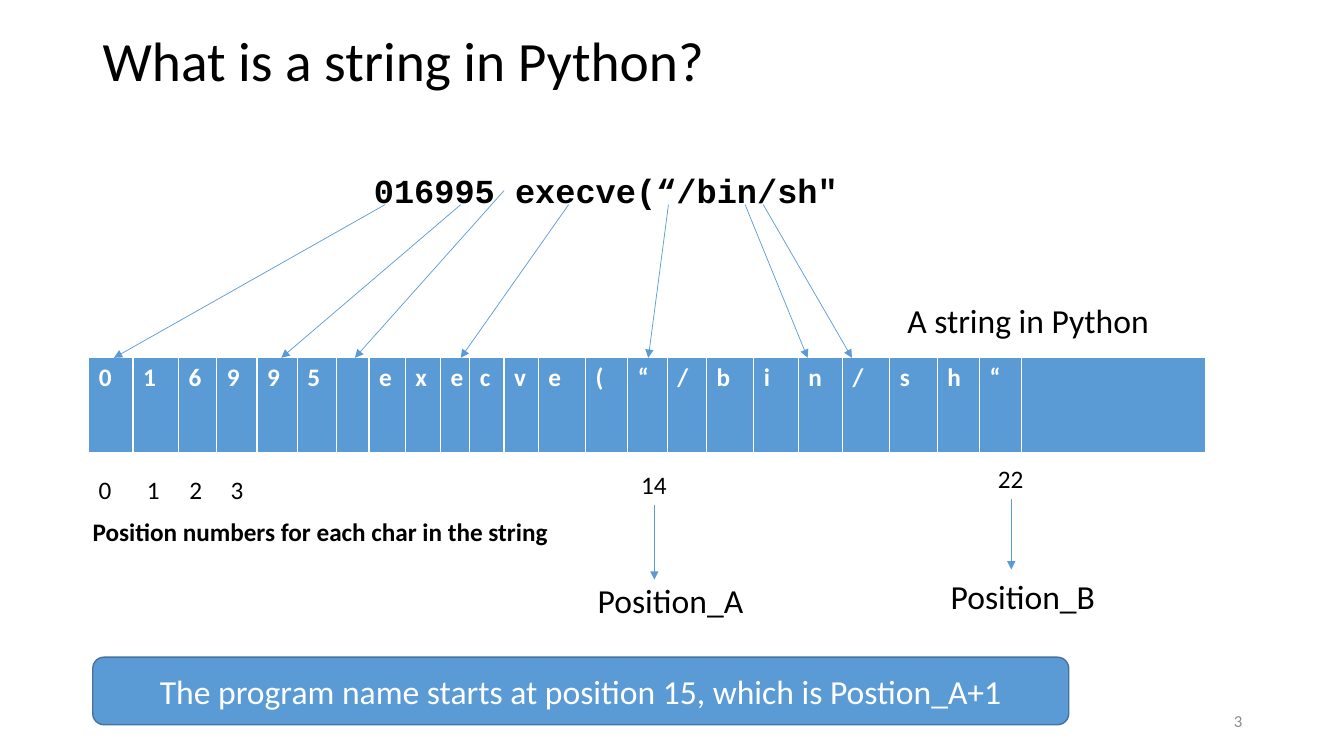
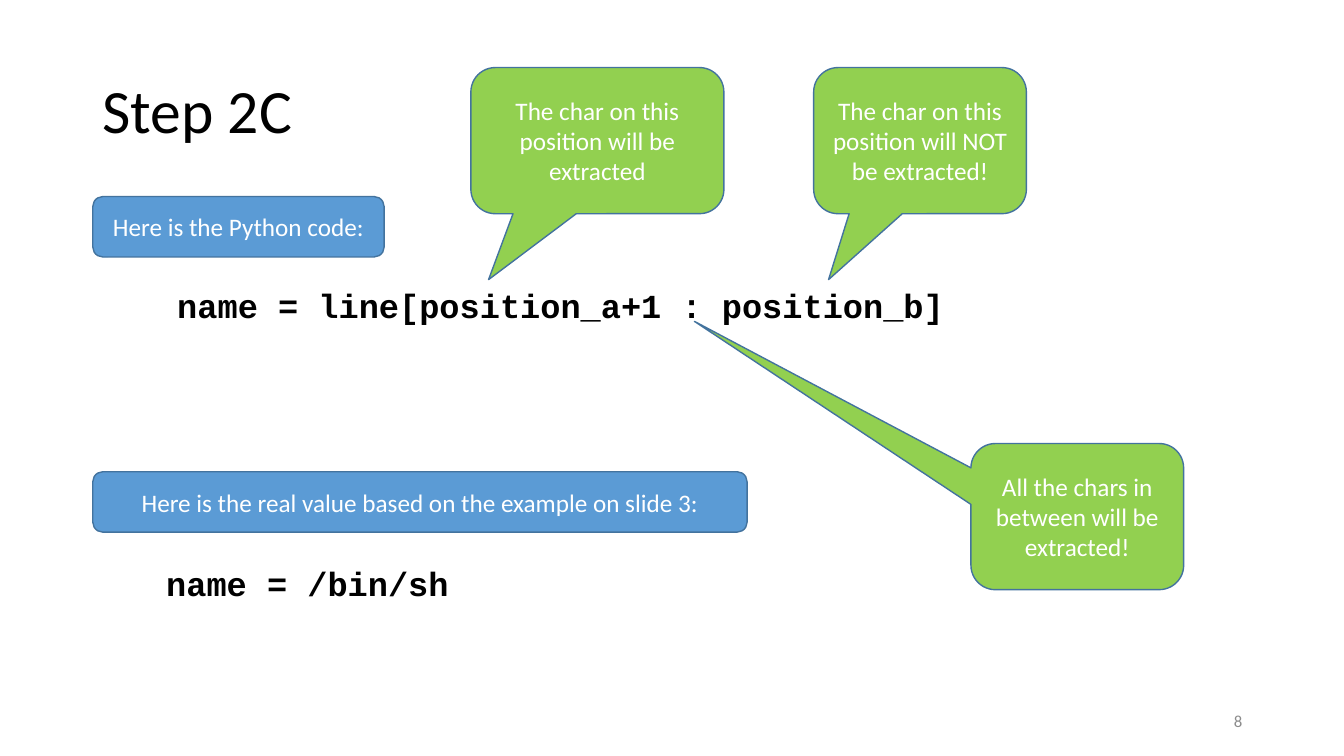
from lxml import etree
from pptx import Presentation
from pptx.dml.color import RGBColor
from pptx.enum.shapes import MSO_CONNECTOR, MSO_SHAPE
from pptx.enum.text import MSO_ANCHOR, MSO_AUTO_SIZE, PP_ALIGN
from pptx.oxml.ns import qn
from pptx.util import Inches, Pt

STRAIGHT = MSO_CONNECTOR.STRAIGHT
ROUNDED, CALLOUT = MSO_SHAPE.ROUNDED_RECTANGLE, MSO_SHAPE.ROUNDED_RECTANGULAR_CALLOUT
TOP, MIDDLE = MSO_ANCHOR.TOP, MSO_ANCHOR.MIDDLE
FIXED, GROW = MSO_AUTO_SIZE.NONE, MSO_AUTO_SIZE.SHAPE_TO_FIT_TEXT
LEFT, CENTER, RIGHT = PP_ALIGN.LEFT, PP_ALIGN.CENTER, PP_ALIGN.RIGHT
SANS, MONO = "Calibri", "Courier New"
BLACK, WHITE, GRAY = "000000", "FFFFFF", "8C8C8C"
BLUE, DARK_BLUE, GREEN = "5B9BD5", "43739E", "92D050"
color_of = RGBColor.from_string


def write(frame, text, size, color=BLACK, name=SANS, bold=False, align=LEFT):
    paragraph = frame.paragraphs[0]
    paragraph.alignment = align
    run = paragraph.add_run()
    run.text = text
    for attribute, value in {"size": Pt(size), "name": name, "bold": bold}.items():
        setattr(run.font, attribute, value)
    run.font.color.rgb = color_of(color)
    return paragraph


def add_text(slide, box, text, size, anchor=TOP, wrap=False, **style):
    frame = slide.shapes.add_textbox(*map(Inches, box)).text_frame
    layout = {
        "word_wrap": wrap,
        "vertical_anchor": anchor,
        "auto_size": FIXED if wrap else GROW,
    }
    for attribute, value in layout.items():
        setattr(frame, attribute, value)
    return write(frame, text, size, **style)


CODE = {"name": MONO, "bold": True}
POINTER_DOWN = (-0.43, 0.951, 0.167)
contents = [
    {
        "title": ("What is a string in Python?", 39.6, 0.47),
        "number": "3",
        "labels": [
            ((3.61, 1.64, 4.84, 0.5), "016995 execve(“/bin/sh\"", 24, CODE),
            ((8.9, 2.93, 2.62, 0.5), "A string in Python", 24, {}),
            ((0.88, 4.66, 0.33, 0.4), "0", 18, {}),
            ((1.36, 4.66, 0.33, 0.4), "1", 18, {}),
            ((1.78, 4.66, 0.33, 0.4), "2", 18, {}),
            ((2.19, 4.66, 0.33, 0.4), "3", 18, {}),
            ((6.26, 4.61, 0.46, 0.4), "14", 18, {}),
            ((9.8, 4.55, 0.46, 0.4), "22", 18, {}),
            ((0.82, 5.07, 4.76, 0.4), "Position numbers for each char in the string",
             18, {"bold": True}),
            ((5.83, 5.7, 1.66, 0.5), "Position_A", 24, {}),
            ((9.33, 5.66, 1.65, 0.5), "Position_B", 24, {}),
        ],
        "boxes": [
            ((0.92, 6.52, 9.68, 0.67),
             "The program name starts at position 15, which is Postion_A+1", 24, None),
        ],
    },
    {
        "title": ("Step 2C", 44, 1.45),
        "number": "8",
        "labels": [
            ((1.66, 2.78, 8.06, 0.5), "name = line[position_a+1 : position_b]", 24, CODE),
            ((1.55, 5.54, 3.23, 0.5), "name = /bin/sh", 24, CODE),
        ],
        "boxes": [
            ((0.92, 1.95, 2.89, 0.6), "Here is the Python code:", 18, None),
            ((0.92, 4.68, 6.49, 0.6),
             "Here is the real value based on the example on slide 3:", 18, None),
            ((4.67, 0.67, 2.51, 1.45), "The char on this position will be extracted",
             18, POINTER_DOWN),
            ((8.07, 0.67, 2.11, 1.45), "The char on this position will NOT be extracted!",
             18, POINTER_DOWN),
            ((9.63, 4.4, 2.11, 1.45), "All the chars in between will be extracted!",
             18, (-1.8, -1.336, 0.167)),
        ],
    },
]

presentation = Presentation()
presentation.slide_width, presentation.slide_height = Inches(13.33), Inches(7.5)
blank = presentation.slide_layouts[6]

for content in contents:
    slide = presentation.slides.add_slide(blank)
    title, title_size, title_height = content["title"]
    paragraph = add_text(slide, (0.92, 0.4, 11.5, title_height), title, title_size,
                         MIDDLE, True)
    paragraph.line_spacing = 0.9
    for box, text, size, style in content["labels"]:
        add_text(slide, box, text, size, **style)
    for box, text, size, pointer in content["boxes"]:
        shape = slide.shapes.add_shape(CALLOUT if pointer else ROUNDED, *map(Inches, box))
        for index, value in enumerate(pointer or ()):
            shape.adjustments[index] = value
        shape.shadow.inherit = False
        shape.fill.solid()
        shape.fill.fore_color.rgb = color_of(GREEN if pointer else BLUE)
        shape.line.color.rgb = color_of(DARK_BLUE)
        shape.line.width = Pt(1)
        shape.text_frame.word_wrap = True
        shape.text_frame.vertical_anchor = MIDDLE
        write(shape.text_frame, text, size, WHITE, align=CENTER)
    add_text(slide, (9.42, 6.95, 3, 0.4), content["number"], 12, MIDDLE, True,
             color=GRAY, align=RIGHT)

string_slide = presentation.slides[0]
characters = [*"016995 execve(“/bin/sh“", ""]
column_widths = [0.44, 0.45, 0.38, 0.4, 0.4, 0.39, 0.32, 0.36, 0.35, 0.29, 0.34, 0.34,
                 0.47, 0.42, 0.39, 0.39, 0.47, 0.44, 0.44, 0.47, 0.47, 0.42, 0.42, 1.82]
border_widths = {"a:lnL": 1, "a:lnR": 1, "a:lnT": 1, "a:lnB": 3}
table = string_slide.shapes.add_table(
    1, len(characters), Inches(0.88), Inches(3.55), Inches(11.09), Inches(0.95)).table
for index, (character, width) in enumerate(zip(characters, column_widths)):
    table.columns[index].width = Inches(width)
    cell = table.cell(0, index)
    if character.strip():
        write(cell.text_frame, character, 18, WHITE, bold=True)
    properties = cell._tc.get_or_add_tcPr()
    for tag, points in border_widths.items():
        border = etree.SubElement(properties, qn(tag), w=str(Pt(points)))
        border_fill = etree.SubElement(border, qn("a:solidFill"))
        etree.SubElement(border_fill, qn("a:srgbClr"), val=WHITE)
    cell.fill.solid()
    cell.fill.fore_color.rgb = color_of(BLUE)

arrows = [
    (3.82, 2.03, 1.13, 3.55),
    (4.57, 2.03, 2.79, 3.55),
    (5, 1.89, 3.52, 3.55),
    (5.64, 2.03, 4.57, 3.55),
    (6.63, 2.03, 6.43, 3.55),
    (7.57, 2.03, 8.45, 3.55),
    (7.39, 2.03, 8.01, 3.55),
    (6.49, 5.01, 6.49, 5.75),
    (10.03, 4.95, 10.03, 5.65),
]
for ends in arrows:
    arrow = string_slide.shapes.add_connector(STRAIGHT, *map(Inches, ends))
    arrow.line.color.rgb = color_of(BLUE)
    arrow.line.width = Pt(0.5)
    etree.SubElement(arrow.line._get_or_add_ln(), qn("a:tailEnd"), type="triangle")
    etree.SubElement(arrow._element.spPr, qn("a:effectLst"))

presentation.save("out.pptx")
